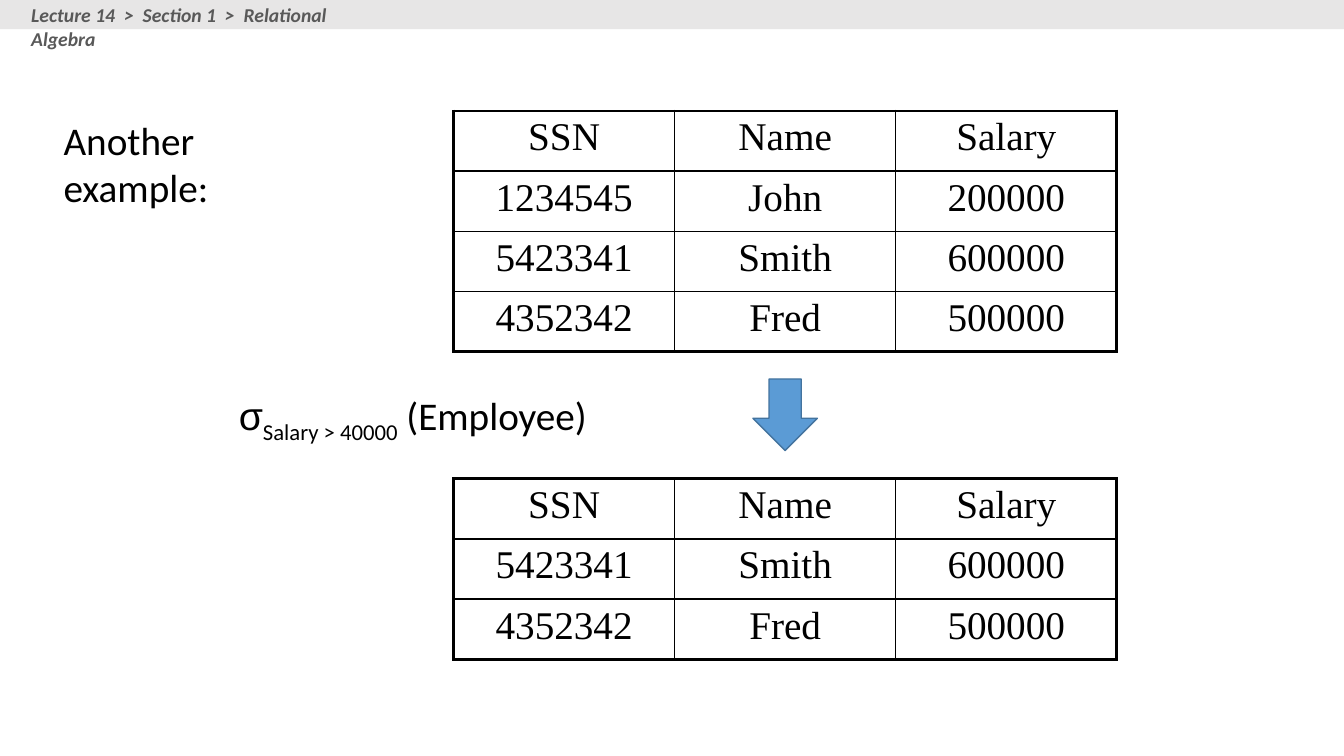
"""Build the lecture slide that shows a relational selection on an employee table."""
from dataclasses import dataclass

from lxml.etree import SubElement
from pptx import Presentation
from pptx.dml.color import RGBColor
from pptx.enum.shapes import MSO_SHAPE
from pptx.enum.text import MSO_ANCHOR, MSO_AUTO_SIZE, PP_ALIGN
from pptx.oxml.ns import qn
from pptx.shapes.autoshape import Shape
from pptx.slide import Slide
from pptx.table import _Cell
from pptx.util import Inches, Pt

SLIDE_WIDTH = Inches(13.33)
SLIDE_HEIGHT = Inches(7.5)
COLORS = {
    "ink": "000000",
    "band": "E7E6E6",
    "breadcrumb": "595959",
    "arrow": "5B9BD5",
    "arrow_edge": "43739E",
}
FRAME_FORMAT = {
    "word_wrap": True,
    "auto_size": MSO_AUTO_SIZE.NONE,
    "vertical_anchor": MSO_ANCHOR.TOP,
}
BODY_FONT = {"name": "Calibri", "size": Pt(28)}
SIGMA_FONT = {"name": "Arial", "size": Pt(28)}
TABLE_FONT = {"name": "Times New Roman", "size": Pt(28)}
BREADCRUMB_FONT = {"name": "Calibri", "size": Pt(14), "bold": True, "italic": True}
PLAIN_TABLE = {"first_row": False, "horz_banding": False}
OUTER_LINE = Pt(2.25)
INNER_LINE = Pt(1)
ROW_SHARE = 7.96


@dataclass(frozen=True)
class Area:
    """Hold a position and size as percentages of the slide."""

    left: float
    top: float
    width: float
    height: float

    def lengths(self) -> tuple[int, int, int, int]:
        """Return left, top, width and height as slide lengths."""
        return (
            round(SLIDE_WIDTH * self.left / 100),
            round(SLIDE_HEIGHT * self.top / 100),
            round(SLIDE_WIDTH * self.width / 100),
            round(SLIDE_HEIGHT * self.height / 100),
        )


@dataclass(frozen=True)
class Span:
    """Describe one run of text."""

    text: str
    font: dict
    color: str = "ink"
    baseline: int = 0


@dataclass(frozen=True)
class TextBlock:
    """Describe a text box made of spans."""

    area: Area
    spans: tuple[Span, ...]


@dataclass(frozen=True)
class Block:
    """Describe a filled preset shape."""

    area: Area
    kind: MSO_SHAPE
    fill: str
    edge: str | None = None


@dataclass(frozen=True)
class Relation:
    """Describe a relation by its top edge and rows."""

    top: float
    rows: tuple[tuple[str, ...], ...]


HEADINGS = ("SSN", "Name", "Salary")
JOHN = ("1234545", "John", "200000")
SMITH = ("5423341", "Smith", "600000")
FRED = ("4352342", "Fred", "500000")
RELATIONS = (
    Relation(14.67, (HEADINGS, JOHN, SMITH, FRED)),
    Relation(63.33, (HEADINGS, SMITH, FRED)),
)
TITLE = TextBlock(Area(3.98, 14.67, 22.58, 7.6), (Span("Another example:", BODY_FONT),))
FORMULA = TextBlock(
    Area(17.03, 51.07, 29.18, 7.6),
    (
        Span("σ", SIGMA_FONT),
        Span("Salary > 40000", BODY_FONT, baseline=-25000),
        Span(" (Employee)", BODY_FONT),
    ),
)
BREADCRUMB = TextBlock(
    Area(1.58, -0.27, 28.05, 4.53),
    (Span("Lecture 14  >  Section 1  >  Relational Algebra", BREADCRUMB_FONT, "breadcrumb"),),
)
ARROW = Block(Area(56.02, 50.13, 4.8, 9.47), MSO_SHAPE.DOWN_ARROW, "arrow", "arrow_edge")
BAND = Block(Area(0, 0, 100, 3.87), MSO_SHAPE.RECTANGLE, "band")


def set_values(target: object, values: dict) -> None:
    """Set each named value on the target."""
    for name, value in values.items():
        setattr(target, name, value)


def write_spans(box: Shape | _Cell, spans: tuple[Span, ...], alignment: PP_ALIGN) -> None:
    """Write styled spans into the first paragraph."""
    para = box.text_frame.paragraphs[0]
    para.alignment = alignment
    for item in spans:
        span = para.add_run()
        span.text = item.text
        set_values(span.font, item.font)
        span.font.color.rgb = RGBColor.from_string(COLORS[item.color])
        if item.baseline:
            span._r.get_or_add_rPr().set("baseline", str(item.baseline))


def fill_text(box: Shape, block: TextBlock) -> None:
    """Place a box and write its text."""
    places = zip(("left", "top", "width", "height"), block.area.lengths())
    set_values(box, dict(places))
    set_values(box.text_frame, FRAME_FORMAT)
    write_spans(box, block.spans, PP_ALIGN.LEFT)


def draw_text(page: Slide, block: TextBlock) -> None:
    """Add a text box to the page."""
    fill_text(page.shapes.add_textbox(*block.area.lengths()), block)


def draw_block(page: Slide, block: Block) -> None:
    """Add a filled preset shape to the page."""
    shape = page.shapes.add_shape(block.kind, *block.area.lengths())
    shape.shadow.inherit = False
    shape.fill.solid()
    shape.fill.fore_color.rgb = RGBColor.from_string(COLORS[block.fill])
    if block.edge is None:
        shape.line.fill.background()
    else:
        shape.line.color.rgb = RGBColor.from_string(COLORS[block.edge])
        shape.line.width = Pt(1)


def draw_borders(cell: _Cell, outer_sides: dict[str, bool]) -> None:
    """Draw thick outer and thin inner cell borders."""
    properties = cell._tc.get_or_add_tcPr()
    for side, is_outer in outer_sides.items():
        width = OUTER_LINE if is_outer else INNER_LINE
        line = SubElement(properties, qn(f"a:ln{side}"), w=str(width))
        fill = SubElement(line, qn("a:solidFill"))
        SubElement(fill, qn("a:srgbClr"), val=COLORS["ink"])


def draw_relation(page: Slide, relation: Relation) -> None:
    """Add a relation as a bordered table."""
    row_count, column_count = len(relation.rows), len(relation.rows[0])
    area = Area(33.75, relation.top, 49.35, ROW_SHARE * row_count)
    table = page.shapes.add_table(row_count, column_count, *area.lengths()).table
    set_values(table, PLAIN_TABLE)
    for row, values in enumerate(relation.rows):
        for column, value in enumerate(values):
            cell = table.cell(row, column)
            write_spans(cell, (Span(value, TABLE_FONT),), PP_ALIGN.CENTER)
            draw_borders(cell, {
                "L": column == 0,
                "R": column == column_count - 1,
                "T": row == 0,
                "B": row == row_count - 1,
            })
            cell.fill.background()


def main() -> None:
    """Build and save the deck."""
    deck = Presentation()
    set_values(deck, {"slide_width": SLIDE_WIDTH, "slide_height": SLIDE_HEIGHT})
    page = deck.slides.add_slide(deck.slide_layouts.get_by_name("Title Only"))
    fill_text(page.shapes.title, TITLE)
    draw_text(page, FORMULA)
    for relation in RELATIONS:
        draw_relation(page, relation)
    for block in (ARROW, BAND):
        draw_block(page, block)
    draw_text(page, BREADCRUMB)
    deck.save("out.pptx")


if __name__ == "__main__":
    main()
